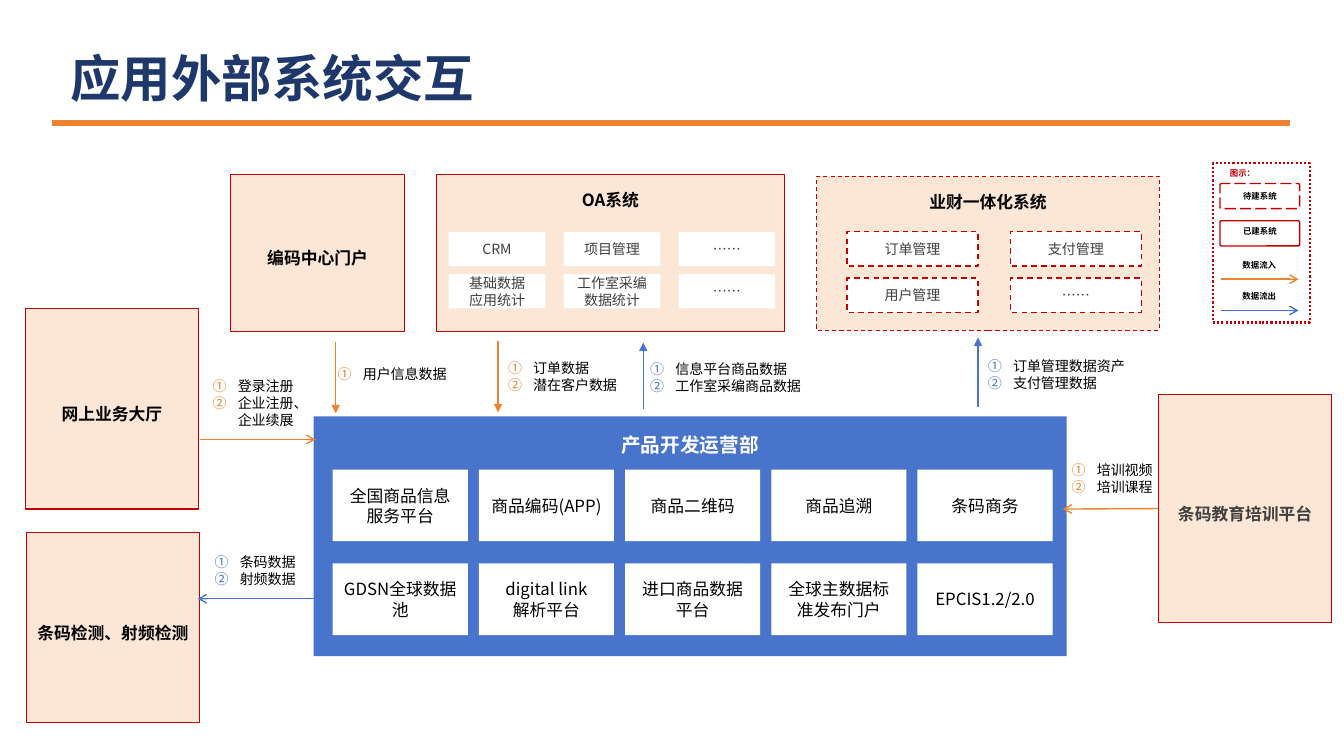
from dataclasses import dataclass
from typing import Optional

from lxml import etree
from pptx import Presentation
from pptx.dml.color import RGBColor
from pptx.enum import dml, lang, shapes, text
from pptx.oxml.ns import qn
from pptx.util import Inches, Pt

COLORS = {
    "navy": "1E386B", "orange": "EE822F", "blue": "4874CB", "red": "C00000",
    "peach": "FCE6D5", "white": "FFFFFF", "black": "000000", "gray": "404040",
}
CJK_FONT = "Noto Sans CJK SC"
DASH = dml.MSO_LINE.DASH
TOP, MIDDLE = text.MSO_ANCHOR.TOP, text.MSO_ANCHOR.MIDDLE
LEFT, CENTER = text.PP_ALIGN.LEFT, text.PP_ALIGN.CENTER


@dataclass
class Box:
    label: str
    left: float
    top: float
    width: float
    height: float
    fill: Optional[str] = "white"
    line: Optional[str] = None
    weight: float = 1
    dash: Optional[dml.MSO_LINE] = None
    size: float = 12
    color: str = "black"
    bold: bool = False
    anchor: text.MSO_ANCHOR = MIDDLE
    wrap: bool = True
    spacing: Optional[float] = None
    rounded: bool = False


@dataclass
class Arrow:
    start: tuple[float, float]
    end: tuple[float, float]
    color: str
    head: str = "triangle"
    weight: float = 1


@dataclass
class Note:
    items: list[str]
    left: float
    top: float
    width: float
    color: str


@dataclass
class Caption:
    label: str
    left: float
    top: float
    width: float
    color: str = "black"
    align: text.PP_ALIGN = CENTER


def rgb(name: str) -> RGBColor:
    return RGBColor.from_string(COLORS[name])


def write(frame, lines: list[str], size: float, color: str, bold: bool = False,
          align=LEFT, spacing: Optional[float] = None, font: str = CJK_FONT,
          bullet: Optional[str] = None) -> None:
    font_format = {"name": font, "size": Pt(size), "bold": bold,
                   "language_id": lang.MSO_LANGUAGE_ID.SIMPLIFIED_CHINESE}
    for index, line in enumerate(lines):
        paragraph = frame.add_paragraph() if index else frame.paragraphs[0]
        paragraph.alignment = align
        if spacing:
            paragraph.line_spacing = spacing
        if bullet:
            properties = paragraph._p.get_or_add_pPr()
            properties.set("marL", str(Inches(0.25)))
            properties.set("indent", str(-Inches(0.25)))
            bullet_color = etree.SubElement(properties, qn("a:buClr"))
            etree.SubElement(bullet_color, qn("a:srgbClr"), val=COLORS[bullet])
            etree.SubElement(properties, qn("a:buAutoNum"), type="circleNumDbPlain")
        run = paragraph.add_run()
        run.text = line
        for name, value in font_format.items():
            setattr(run.font, name, value)
        run.font.color.rgb = rgb(color)
        # East Asian typeface follows the Latin one
        latin = run._r.get_or_add_rPr().find(qn("a:latin"))
        latin.addnext(etree.Element(qn("a:ea"), typeface=CJK_FONT))


def draw_box(container, box: Box):
    kind = shapes.MSO_SHAPE.ROUNDED_RECTANGLE if box.rounded else shapes.MSO_SHAPE.RECTANGLE
    shape = container.add_shape(kind, Inches(box.left), Inches(box.top),
                                Inches(box.width), Inches(box.height))
    shape.shadow.inherit = False
    if box.rounded:
        shape.adjustments[0] = 0.06
    if box.fill:
        shape.fill.solid()
        shape.fill.fore_color.rgb = rgb(box.fill)
    else:
        shape.fill.background()
    if box.line:
        shape.line.color.rgb = rgb(box.line)
        shape.line.width = Pt(box.weight)
        if box.dash:
            shape.line.dash_style = box.dash
    else:
        shape.line.fill.background()
    frame = shape.text_frame
    frame.word_wrap, frame.vertical_anchor = box.wrap, box.anchor
    if box.label:
        write(frame, box.label.split("\n"), box.size, box.color, box.bold,
              CENTER, box.spacing)
    return shape


def draw_arrow(container, arrow: Arrow):
    connector = container.add_connector(
        shapes.MSO_CONNECTOR.STRAIGHT, *map(Inches, arrow.start + arrow.end))
    connector.line.color.rgb = rgb(arrow.color)
    connector.line.width = Pt(arrow.weight)
    if arrow.head:
        etree.SubElement(connector.line._get_or_add_ln(), qn("a:tailEnd"), type=arrow.head)
    etree.SubElement(connector._element.spPr, qn("a:effectLst"))
    return connector


def add_frame(container, left: float, top: float, width: float, height: float):
    frame = container.add_textbox(*map(Inches, (left, top, width, height))).text_frame
    frame.word_wrap = True
    frame.auto_size = text.MSO_AUTO_SIZE.SHAPE_TO_FIT_TEXT
    return frame


def draw_note(container, note: Note) -> None:
    height = 0.1 + 0.17 * len(note.items)
    frame = add_frame(container, note.left, note.top, note.width, height)
    write(frame, note.items, 10, "black", bullet=note.color)


def draw_caption(container, caption: Caption) -> None:
    frame = add_frame(container, caption.left, caption.top, caption.width, 0.2)
    write(frame, [caption.label], 6, caption.color, True, caption.align)


def draw_grid(container, rows: list[list[str]], left: float, top: float,
              step_x: float, step_y: float, **style) -> None:
    for row, labels in enumerate(rows):
        for column, label in enumerate(labels):
            draw_box(container, Box(label, left + column * step_x,
                                    top + row * step_y, **style))


def main() -> None:
    presentation = Presentation()
    presentation.slide_width, presentation.slide_height = Inches(13.33), Inches(7.5)
    slide = presentation.slides.add_slide(presentation.slide_layouts[5])
    canvas = slide.shapes

    # Title and rule
    title = canvas.title
    title.left, title.top, title.width, title.height = map(Inches, (0.7, 0.27, 12.02, 0.99))
    frame_format = {"margin_left": 0, "vertical_anchor": MIDDLE, "word_wrap": True,
                    "auto_size": text.MSO_AUTO_SIZE.NONE}
    for name, value in frame_format.items():
        setattr(title.text_frame, name, value)
    write(title.text_frame, ["应用外部系统交互"], 36, "navy", True, font="DejaVu Sans")
    draw_arrow(canvas, Arrow((0.52, 1.22), (12.79, 1.22), "orange", "", 4.5))

    # External systems and the central department
    heading = {"bold": True, "wrap": False, "spacing": 1.5}
    system = heading | {"fill": "peach", "line": "red", "weight": 0.75}
    for box in (
        Box("业财一体化系统", 8.1, 1.75, 3.4, 1.53, anchor=TOP, dash=DASH, **system),
        Box("OA系统", 4.33, 1.73, 3.45, 1.56, anchor=TOP, **system),
        Box("编码中心门户", 2.29, 1.73, 1.72, 1.56, **system),
        Box("网上业务大厅", 0.25, 3.06, 1.72, 1.99, **system),
        Box("条码检测、射频检测", 0.26, 5.28, 1.72, 1.89, **system),
        Box("产品开发运营部", 3.11, 4.13, 7.47, 2.38, "blue", size=14,
            color="white", anchor=TOP, **heading),
    ):
        draw_box(canvas, box)
    training = draw_box(canvas, Box("条码教育培训平台", 11.49, 3.91, 1.72, 2.27,
                                    color="gray", **system))

    # Modules inside the systems
    draw_grid(canvas, [
        ["全国商品信息服务平台", "商品编码(APP)", "商品二维码", "商品追溯", "条码商务"],
        ["GDSN全球数据池", "digital link\n解析平台", "进口商品数据平台",
         "全球主数据标准发布门户", "EPCIS1.2/2.0"],
    ], 3.3, 4.66, 1.45, 0.93, width=1.34, height=0.71)
    module = {"height": 0.34, "size": 10, "color": "gray"}
    draw_grid(canvas, [["CRM", "项目管理", "……"],
                       ["基础数据\n应用统计", "工作室采编数据统计", "……"]],
              4.45, 2.3, 1.14, 0.42, width=0.96, **module)
    draw_grid(canvas, [["订单管理", "支付管理"], ["用户管理", "……"]],
              8.4, 2.3, 1.62, 0.46, width=1.3, line="red", dash=DASH, **module)

    # Data flows
    for arrow in (
        Arrow((3.33, 3.39), (3.33, 4.1), "orange"),
        Arrow((4.94, 3.38), (4.94, 4.09), "orange"),
        Arrow((6.38, 4.06), (6.38, 3.4), "blue"),
        Arrow((9.7, 4.04), (9.7, 3.35), "blue"),
        Arrow((1.98, 4.36), (3.13, 4.36), "orange", "arrow"),
        Arrow((3.11, 5.94), (1.96, 5.94), "blue", "arrow"),
    ):
        draw_arrow(canvas, arrow)
    draw_arrow(canvas, Arrow((11.49, 5.05), (10.54, 5.05), "orange", "arrow")
               ).begin_connect(training, 1)
    for note in (
        Note(["用户信息数据"], 3.25, 3.58, 1.35, "orange"),
        Note(["订单数据", "潜在客户数据"], 4.94, 3.52, 1.35, "orange"),
        Note(["信息平台商品数据", "工作室采编商品数据"], 6.35, 3.53, 1.72, "blue"),
        Note(["订单管理数据资产", "支付管理数据"], 9.7, 3.5, 1.63, "blue"),
        Note(["登录注册", "企业注册、企业续展"], 2.01, 3.7, 1.11, "orange"),
        Note(["条码数据", "射频数据"], 2.03, 5.44, 1.63, "blue"),
        Note(["培训视频", "培训课程"], 10.53, 4.53, 1.35, "orange"),
    ):
        draw_note(canvas, note)

    # Legend
    legend = canvas.add_group_shape().shapes
    key = {"line": "red", "size": 6, "bold": True, "rounded": True}
    draw_box(legend, Box("待建系统", 12.1, 1.82, 0.79, 0.25, None,
                         dash=dml.MSO_LINE.LONG_DASH, **key))
    draw_box(legend, Box("已建系统", 12.1, 2.19, 0.79, 0.25, anchor=TOP, **key))
    draw_caption(legend, Caption("图示：", 12.1, 1.62, 0.45, "red", LEFT))
    for label, top, color in (("数据流入", 2.53, "orange"), ("数据流出", 2.84, "blue")):
        draw_caption(legend, Caption(label, 12.11, top, 0.76))
        draw_arrow(legend, Arrow((12.11, top + 0.24), (12.88, top + 0.24), color, "arrow"))
    draw_box(legend, Box("", 12.03, 1.62, 0.96, 1.58, None, "red", 1.5,
                         dml.MSO_LINE.ROUND_DOT))

    presentation.save("out.pptx")


if __name__ == "__main__":
    main()
